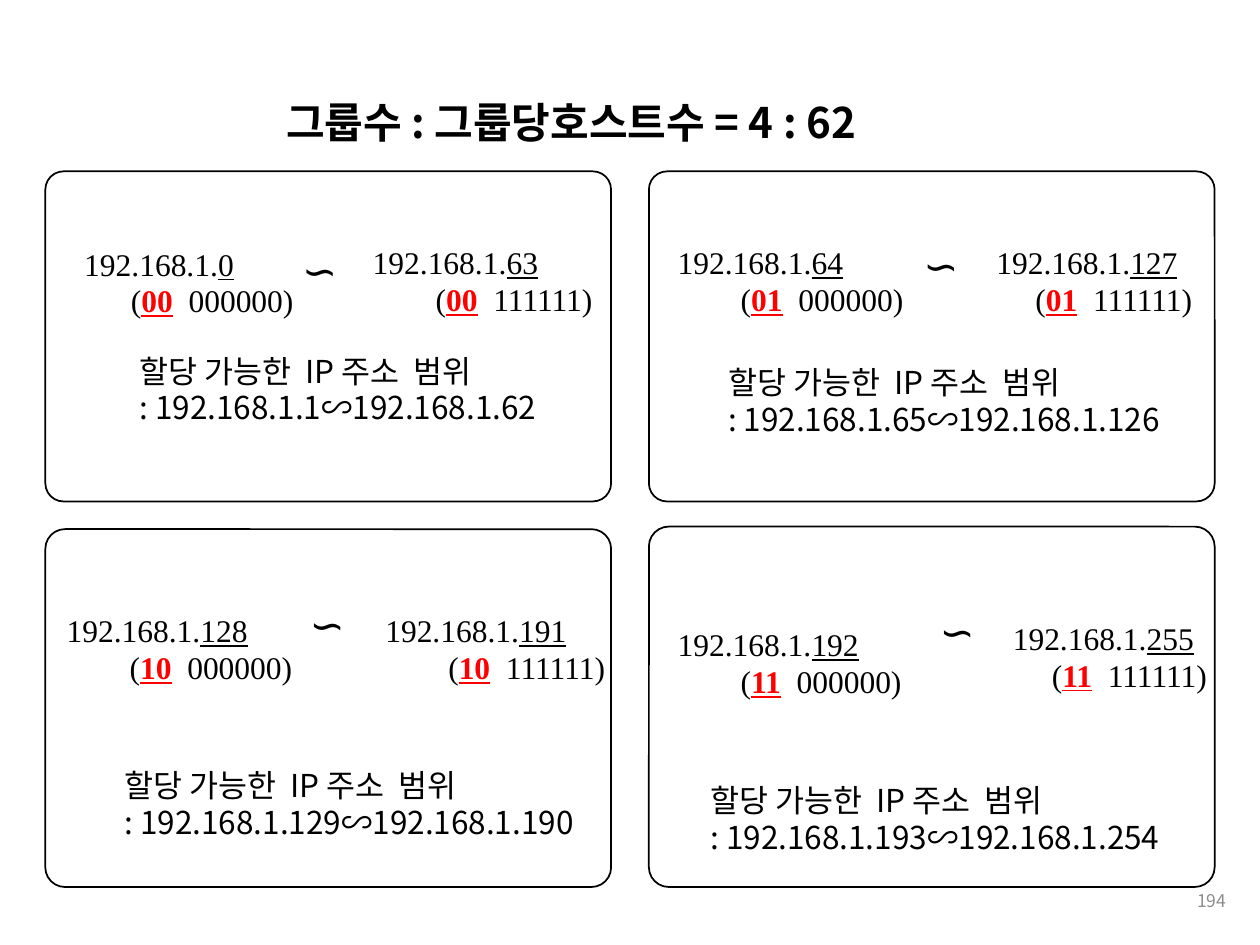
"""Build a slide showing four subnets, their address ranges and usable hosts."""
from pptx import Presentation
from pptx.dml.color import RGBColor
from pptx.enum.shapes import MSO_SHAPE
from pptx.enum.text import MSO_ANCHOR, MSO_AUTO_SIZE, PP_ALIGN
from pptx.oxml.ns import qn
from pptx.util import Inches, Pt

BLACK = RGBColor(0x00, 0x00, 0x00)
RED = RGBColor(0xFF, 0x00, 0x00)
GRAY = RGBColor(0x8C, 0x8C, 0x8C)
ROUND_RECT = MSO_SHAPE.ROUNDED_RECTANGLE
TOP, MIDDLE = MSO_ANCHOR.TOP, MSO_ANCHOR.MIDDLE
LEFT, RIGHT = PP_ALIGN.LEFT, PP_ALIGN.RIGHT
NO_FIT = MSO_AUTO_SIZE.NONE

KOREAN, SERIF, LATIN = "Noto Sans CJK KR", "Times New Roman", "Calibri"
TITLE = "그룹수 : 그룹당호스트수 = 4 : 62"
RANGE_LABEL = "할당 가능한  IP 주소  범위"
NETWORK = "192.168.1."
PAGE = "194"

SLIDE_W, SLIDE_H = 10, 7.5
MARGIN, GAP, PANEL_W, BOTTOM = 0.36, 0.3, 4.49, 7.04
ADDRESS_H, TILDE_W, TILDE_H, RANGE_H = 0.71, 0.43, 0.5, 1.01
LINE_RATIO = 1.17

# Offsets are from the panel corner: first/last = (x, y, width, indent).
PANELS = [
    {"col": 0, "top": 1.36, "height": 2.62, "bits": "00", "hosts": (0, 63),
     "first": (0.21, 0.54, 1.88, 0.37), "last": (2.5, 0.53, 1.96, 0.5),
     "tilde": (1.94, 0.54), "range": (0.65, 1.39, 3.44)},
    {"col": 1, "top": 1.36, "height": 2.62, "bits": "01", "hosts": (64, 127),
     "first": (0.13, 0.53, 2.01, 0.5), "last": (2.66, 0.53, 1.77, 0.31),
     "tilde": (2.08, 0.5), "range": (0.53, 1.48, 3.72)},
    {"col": 0, "top": 4.2, "height": BOTTOM - 4.2, "bits": "10", "hosts": (128, 191),
     "first": (0.07, 0.61, 2.01, 0.5), "last": (2.6, 0.61, 1.96, 0.5),
     "tilde": (2, 0.51), "range": (0.53, 1.84, 3.86)},
    {"col": 1, "top": 4.18, "height": BOTTOM - 4.18, "bits": "11", "hosts": (192, 255),
     "first": (0.13, 0.74, 2, 0.5), "last": (2.79, 0.69, 1.76, 0.31),
     "tilde": (2.21, 0.59), "range": (0.39, 1.98, 3.86)},
]
UNDERLINED = {"underline": True}
BITS = {"underline": True, "bold": True, "color": RED}


def write(sp, lines, font, size, color=BLACK, anchor=TOP, align=LEFT, indent=0, bold=False):
    """Fill a shape with lines of (text, format) runs; indent the later lines."""
    tf = sp.text_frame
    frame = {"word_wrap": True, "auto_size": NO_FIT, "vertical_anchor": anchor,
             "margin_left": Inches(0.1), "margin_top": Inches(0.05),
             "margin_bottom": Inches(0.05),
             "margin_right": Inches(0.1 if align == RIGHT else 0)}
    for name, value in frame.items():
        setattr(tf, name, value)
    for i, line in enumerate(lines):
        p = tf.add_paragraph() if i else tf.paragraphs[0]
        p.alignment = align
        p.line_spacing = Pt(round(size * LINE_RATIO))
        if i and indent:
            pPr = p._p.get_or_add_pPr()
            pPr.set("marL", str(Inches(indent)))
            pPr.set("indent", "0")
        for text, extra in line:
            r = p.add_run()
            r.text = text
            style = {"name": font, "size": Pt(size), "bold": bold, **extra}
            r.font.color.rgb = style.pop("color", color)
            for name, value in style.items():
                setattr(r.font, name, value)
            ea = r.font._element.makeelement(qn("a:ea"), {"typeface": font})
            r.font._element.find(qn("a:latin")).addnext(ea)


def add_text(s, box, *args, **kwargs):
    """Add a text box and write into it."""
    write(s.shapes.add_textbox(*map(Inches, box)), *args, **kwargs)


def add_panel(s, panel):
    """Draw one subnet with its first and last address and usable range."""
    x, y = MARGIN + panel["col"] * (PANEL_W + GAP), panel["top"]
    sp = s.shapes.add_shape(ROUND_RECT, *map(Inches, (x, y, PANEL_W, panel["height"])))
    sp.adjustments[0] = 0.055
    sp.shadow.inherit = False
    sp.fill.background()
    sp.line.color.rgb = BLACK
    sp.line.width = Pt(1)

    for key, host, rest in zip(("first", "last"), panel["hosts"], ("000000", "111111")):
        dx, dy, width, indent = panel[key]
        lines = [[(NETWORK, {}), (str(host), UNDERLINED)],
                 [("(", {}), (panel["bits"], BITS), (f"  {rest})", {})]]
        add_text(s, (x + dx, y + dy, width, ADDRESS_H), lines, SERIF, 18, indent=indent)

    dx, dy = panel["tilde"]
    add_text(s, (x + dx, y + dy, TILDE_W, TILDE_H), [[("∽", {})]], LATIN, 24)

    low, high = panel["hosts"]
    dx, dy, width = panel["range"]
    lines = [[(RANGE_LABEL, {})], [(f": {NETWORK}{low + 1}∽{NETWORK}{high - 1}", {})]]
    add_text(s, (x + dx, y + dy, width, RANGE_H), lines, KOREAN, 18)


def main():
    """Assemble and save the slide."""
    prs = Presentation()
    prs.slide_width, prs.slide_height = Inches(SLIDE_W), Inches(SLIDE_H)
    s = prs.slides.add_slide(prs.slide_layouts[5])
    title = s.shapes.title
    for name, value in zip(("left", "top", "width", "height"), (2.17, 0.72, 5.06, 0.5)):
        setattr(title, name, Inches(value))
    write(title, [[(TITLE, {})]], KOREAN, 24, anchor=MIDDLE, bold=True)
    for panel in PANELS:
        add_panel(s, panel)
    add_text(s, (7.58, 6.95, 2.25, 0.4), [[(PAGE, {})]], KOREAN, 10,
             color=GRAY, anchor=MIDDLE, align=RIGHT)
    prs.save("out.pptx")


if __name__ == "__main__":
    main()
